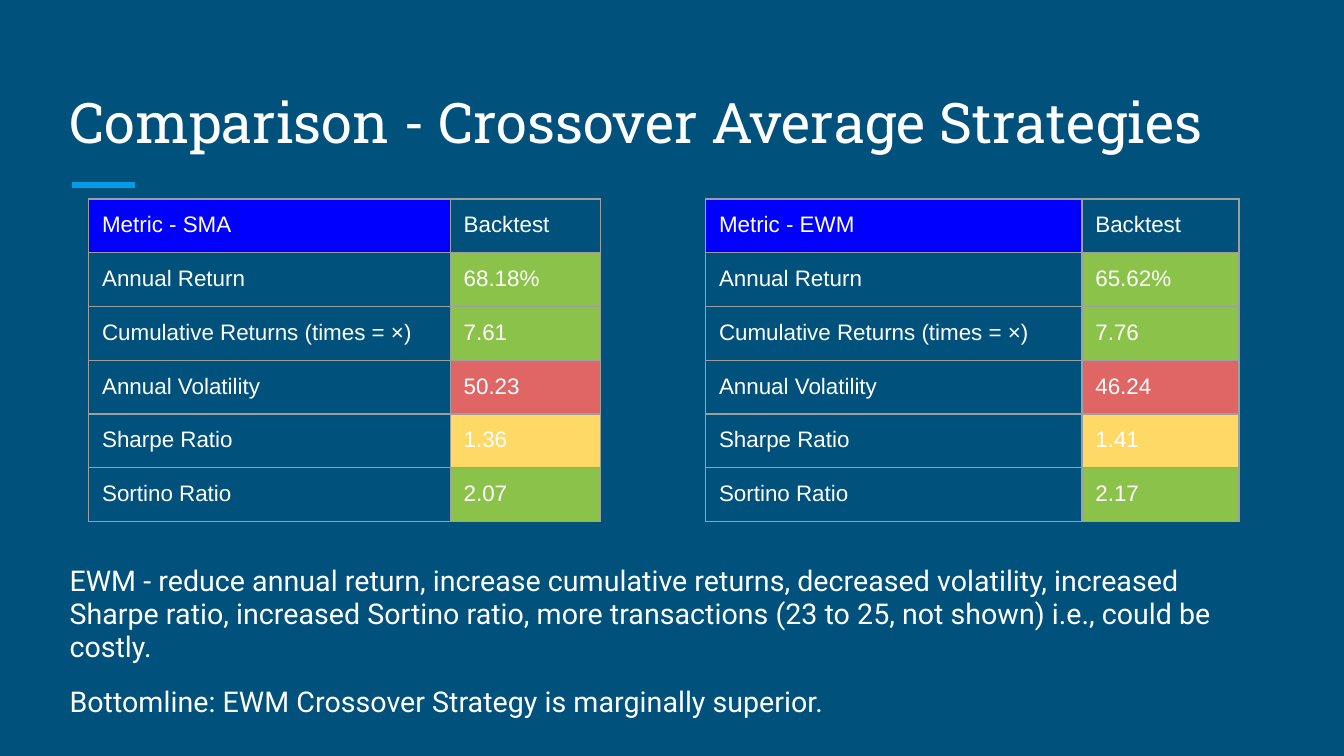
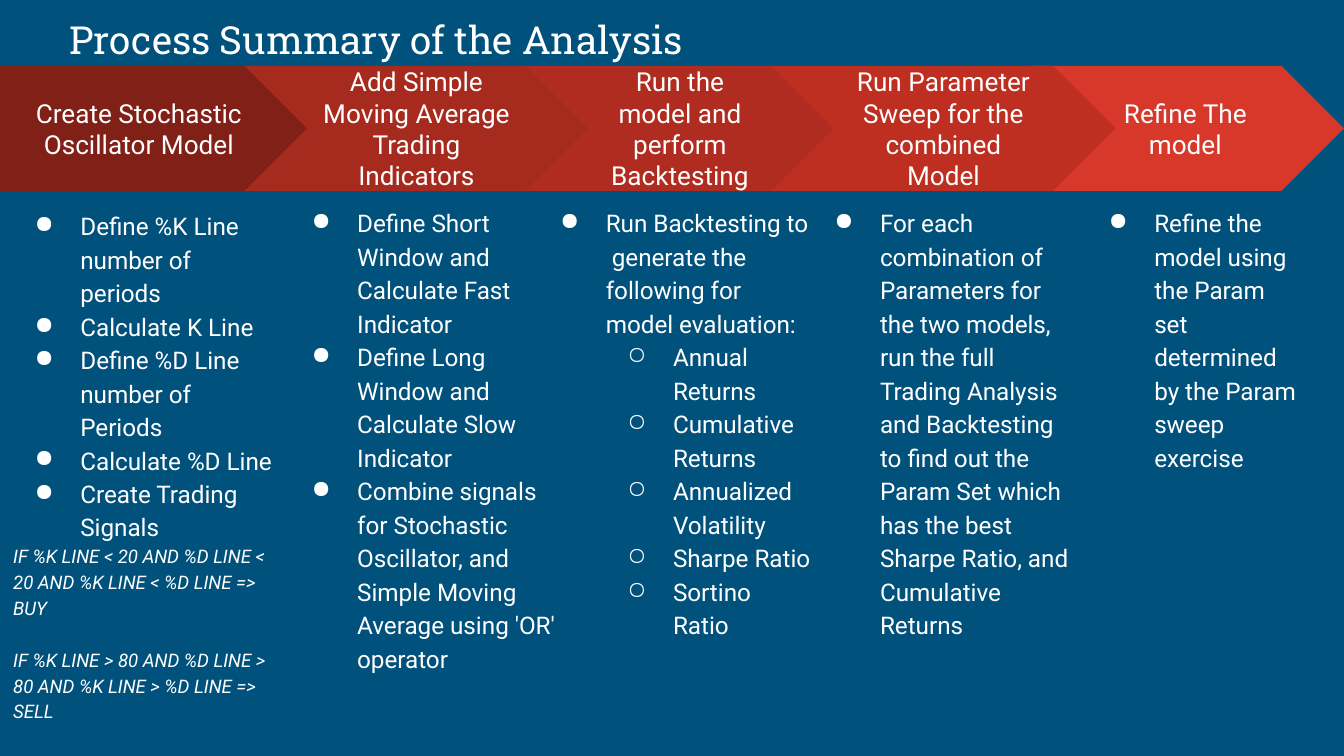
from dataclasses import dataclass

from lxml import etree
from pptx import Presentation
from pptx import util as u
from pptx.dml import color
from pptx.enum import shapes, text
from pptx.oxml import ns

Pt = u.Pt

COMPARISON_TITLE = "Comparison - Crossover Average Strategies"
METRICS = [
    ("Annual Return", "good"),
    ("Cumulative Returns (times = ×)", "good"),
    ("Annual Volatility", "bad"),
    ("Sharpe Ratio", "fair"),
    ("Sortino Ratio", "good"),
]
BACKTESTS = [
    ("Metric - SMA", 47.5, (193.7, 80.6), ["68.18%", "7.61", "50.23", "1.36", "2.07"]),
    ("Metric - EWM", 378, (201.6, 84.2), ["65.62%", "7.76", "46.24", "1.41", "2.17"]),
]
CONCLUSIONS = [
    "EWM - reduce annual return, increase cumulative returns, decreased volatility, "
    "increased Sharpe ratio, increased Sortino ratio, more transactions "
    "(23 to 25, not shown) i.e., could be costly.",
    "Bottomline: EWM Crossover Strategy is marginally superior.",
]

PROCESS_TITLE = "Process Summary of the Analysis"
STEPS = [
    {
        "heading": "Create Stochastic Oscillator Model",
        "band": (0, 165.6), "fill": "802017", "notes": (0, 103.7, 153.4, 297.4),
        "points": [
            ("point", "Define %K Line number of periods"),
            ("point", "Calculate K Line"),
            ("point", "Define %D Line number of Periods"),
            ("point", "Calculate %D Line"),
            ("point", "Create Trading Signals"),
            ("rule", "IF %K LINE < 20 AND %D LINE < 20 AND %K LINE < %D LINE => BUY"),
            ("next rule", "IF %K LINE > 80 AND %D LINE > 80 AND %K LINE > %D LINE => SELL"),
        ],
    },
    {
        "heading": "Add Simple Moving Average Trading Indicators",
        "band": (131, 184.3), "fill": "A72A1E", "notes": (148.3, 102.2, 156.2, 297.4),
        "points": [
            ("point", "Define Short Window and Calculate Fast Indicator"),
            ("point", "Define Long Window and Calculate Slow Indicator"),
            ("point", "Combine signals for Stochastic Oscillator, and "
                      "Simple Moving Average using 'OR' operator"),
        ],
    },
    {
        "heading": "Run the model and perform Backtesting",
        "band": (281.5, 165.6), "fill": "B02C20", "notes": (281.5, 102.2, 160.6, 302.4),
        "points": [
            ("point", "Run Backtesting to  generate the following for model evaluation:"),
            ("subpoint", "Annual Returns"),
            ("subpoint", "Cumulative Returns"),
            ("subpoint", "Annualized Volatility"),
            ("subpoint", "Sharpe Ratio"),
            ("subpoint", "Sortino Ratio"),
        ],
    },
    {
        "heading": "Refine The model",
        "band": (550, 170), "fill": "D83829", "notes": (575.3, 102.2, 130.3, 235.4),
        "points": [
            ("point", "Refine the model using the Param set determined by the Param sweep exercise"),
        ],
    },
    {
        "heading": "Run Parameter Sweep for the combined Model",
        "band": (413.3, 184.3), "fill": "BE2F22", "notes": (428.4, 102.2, 155.5, 298.8),
        "points": [
            ("point", "For each combination of Parameters for the two models, run the full "
                      "Trading Analysis and Backtesting to find out the Param Set which has "
                      "the best Sharpe Ratio, and Cumulative Returns"),
        ],
    },
]


@dataclass(frozen=True)
class Theme:
    background: str = "00517C"
    ink: str = "FFFFFF"
    accent: str = "039BE5"
    header: str = "0000FF"
    border: str = "9E9E9E"
    good: str = "8BC34A"
    fair: str = "FFD966"
    bad: str = "E06666"
    title_font: str = "Roboto Slab"
    body_font: str = "Roboto"
    table_font: str = "Arial"
    title_size: float = 30
    small_title_size: float = 20.7
    body_size: float = 15.3
    band_size: float = 14
    point_size: float = 13
    table_size: float = 12
    rule_size: float = 10
    inset: float = 7.2


THEME = Theme()
POINT_FORMATS = {
    "point": {"bullet": "●", "indent": 36, "level": 0},
    "subpoint": {"bullet": "○", "indent": 72, "level": 1},
    "rule": {"size": THEME.rule_size, "italic": True},
    "next rule": {"size": THEME.rule_size, "italic": True, "space_before": Pt(14)},
}
HANGING = 24.5
BAND_TOP, BAND_HEIGHT = 35.3, 67
TABLE_TOP, ROW_HEIGHT = 106.6, 28.8


def rgb(value):
    return color.RGBColor.from_string(value)


def apply(target, formats):
    for name, value in formats.items():
        setattr(target, name, value)


def write(paragraph, words, font, size, italic=None, **formats):
    apply(paragraph, formats)
    run = paragraph.add_run()
    run.text = words
    apply(run.font, {"name": font, "size": Pt(size), "italic": italic})
    run.font.color.rgb = rgb(THEME.ink)


def set_frame(frame, anchor):
    margins = {f"margin_{side}": Pt(THEME.inset) for side in ("left", "top", "right", "bottom")}
    apply(frame, {"word_wrap": True, "auto_size": text.MSO_AUTO_SIZE.NONE,
                  "vertical_anchor": anchor, **margins})
    return frame


def add_box(slide, place, anchor=text.MSO_ANCHOR.TOP):
    return set_frame(slide.shapes.add_textbox(*map(Pt, place)).text_frame, anchor)


def paragraphs(frame, items):
    for index, item in enumerate(items):
        yield (frame.add_paragraph() if index else frame.paragraphs[0]), item


def add_slide(presentation, title, top, height, size):
    slide = presentation.slides.add_slide(presentation.slide_layouts[6])
    slide.background.fill.solid()
    slide.background.fill.fore_color.rgb = rgb(THEME.background)
    frame = add_box(slide, (30.2, top, 658.8, height), text.MSO_ANCHOR.BOTTOM)
    write(frame.paragraphs[0], title, THEME.title_font, size)
    return slide


def add_accent(slide):
    accent = slide.shapes.add_connector(
        shapes.MSO_CONNECTOR.STRAIGHT, Pt(38.7), Pt(99.2), Pt(72.2), Pt(99.2))
    accent.line.width = Pt(3)
    accent.line.color.rgb = rgb(THEME.accent)
    etree.SubElement(accent._element.spPr, ns.qn("a:effectLst"))


def add_color(parent, value):
    etree.SubElement(parent, ns.qn("a:srgbClr"), val=value)


def set_borders(cell):
    properties = cell._tc.get_or_add_tcPr()
    for side in ("lnL", "lnR", "lnT", "lnB"):
        border = etree.SubElement(properties, ns.qn(f"a:{side}"), w=str(Pt(0.75)))
        add_color(etree.SubElement(border, ns.qn("a:solidFill")), THEME.border)


def set_cell(cell, words, fill):
    margins = {f"margin_{side}": Pt(THEME.inset) for side in ("left", "top", "right", "bottom")}
    apply(cell, margins)
    write(cell.text_frame.paragraphs[0], words, THEME.table_font, THEME.table_size)
    set_borders(cell)
    if fill:
        cell.fill.solid()
        cell.fill.fore_color.rgb = rgb(fill)
    else:
        cell.fill.background()


def add_backtest(slide, header, left, widths, values):
    rows = [((header, THEME.header), ("Backtest", None))]
    rows += [((metric, None), (value, getattr(THEME, rating)))
             for (metric, rating), value in zip(METRICS, values)]
    table = slide.shapes.add_table(
        len(rows), len(widths), Pt(left), Pt(TABLE_TOP),
        Pt(sum(widths)), Pt(ROW_HEIGHT * len(rows))).table
    apply(table, {"first_row": False, "horz_banding": False})
    for column, width in zip(table.columns, widths):
        column.width = Pt(width)
    for row_index, row in enumerate(rows):
        table.rows[row_index].height = Pt(ROW_HEIGHT)
        for column_index, (words, fill) in enumerate(row):
            set_cell(table.cell(row_index, column_index), words, fill)


def add_comparison(presentation):
    slide = add_slide(presentation, COMPARISON_TITLE, 36, 54, THEME.title_size)
    add_accent(slide)
    frame = add_box(slide, (30.2, 296, 658.8, 81.4))
    for paragraph, words in paragraphs(frame, CONCLUSIONS):
        spacing = Pt(12 if words == CONCLUSIONS[-1] else 0)
        write(paragraph, words, THEME.body_font, THEME.body_size,
              line_spacing=0.95, space_before=spacing, space_after=spacing)
    for backtest in BACKTESTS:
        add_backtest(slide, *backtest)


def add_band(slide, heading, left, width, fill):
    preset = shapes.MSO_SHAPE.CHEVRON if left else shapes.MSO_SHAPE.PENTAGON
    band = slide.shapes.add_shape(preset, Pt(left), Pt(BAND_TOP), Pt(width), Pt(BAND_HEIGHT))
    band.shadow.inherit = False
    band.fill.solid()
    band.fill.fore_color.rgb = rgb(fill)
    band.line.fill.background()
    frame = set_frame(band.text_frame, text.MSO_ANCHOR.MIDDLE)
    write(frame.paragraphs[0], heading, THEME.body_font, THEME.band_size,
          alignment=text.PP_ALIGN.CENTER)


def set_bullet(paragraph, symbol, indent):
    properties = paragraph._p.get_or_add_pPr()
    properties.set("marL", str(Pt(indent)))
    properties.set("indent", str(-Pt(HANGING)))
    add_color(etree.SubElement(properties, ns.qn("a:buClr")), THEME.ink)
    etree.SubElement(properties, ns.qn("a:buChar"), char=symbol)


def add_points(slide, place, points):
    for paragraph, (kind, words) in paragraphs(add_box(slide, place), points):
        formats = {"size": THEME.point_size, "line_spacing": 1.15, **POINT_FORMATS[kind]}
        bullet, indent = formats.pop("bullet", None), formats.pop("indent", 0)
        write(paragraph, words, THEME.body_font, **formats)
        if bullet:
            set_bullet(paragraph, bullet, indent)


def add_process(presentation):
    slide = add_slide(presentation, PROCESS_TITLE, 0, 40.3, THEME.small_title_size)
    for step in STEPS:
        add_band(slide, step["heading"], *step["band"], step["fill"])
        add_points(slide, step["notes"], step["points"])


def main():
    presentation = Presentation()
    apply(presentation, {"slide_width": Pt(720), "slide_height": Pt(405)})
    add_comparison(presentation)
    add_process(presentation)
    presentation.save("out.pptx")


if __name__ == "__main__":
    main()
